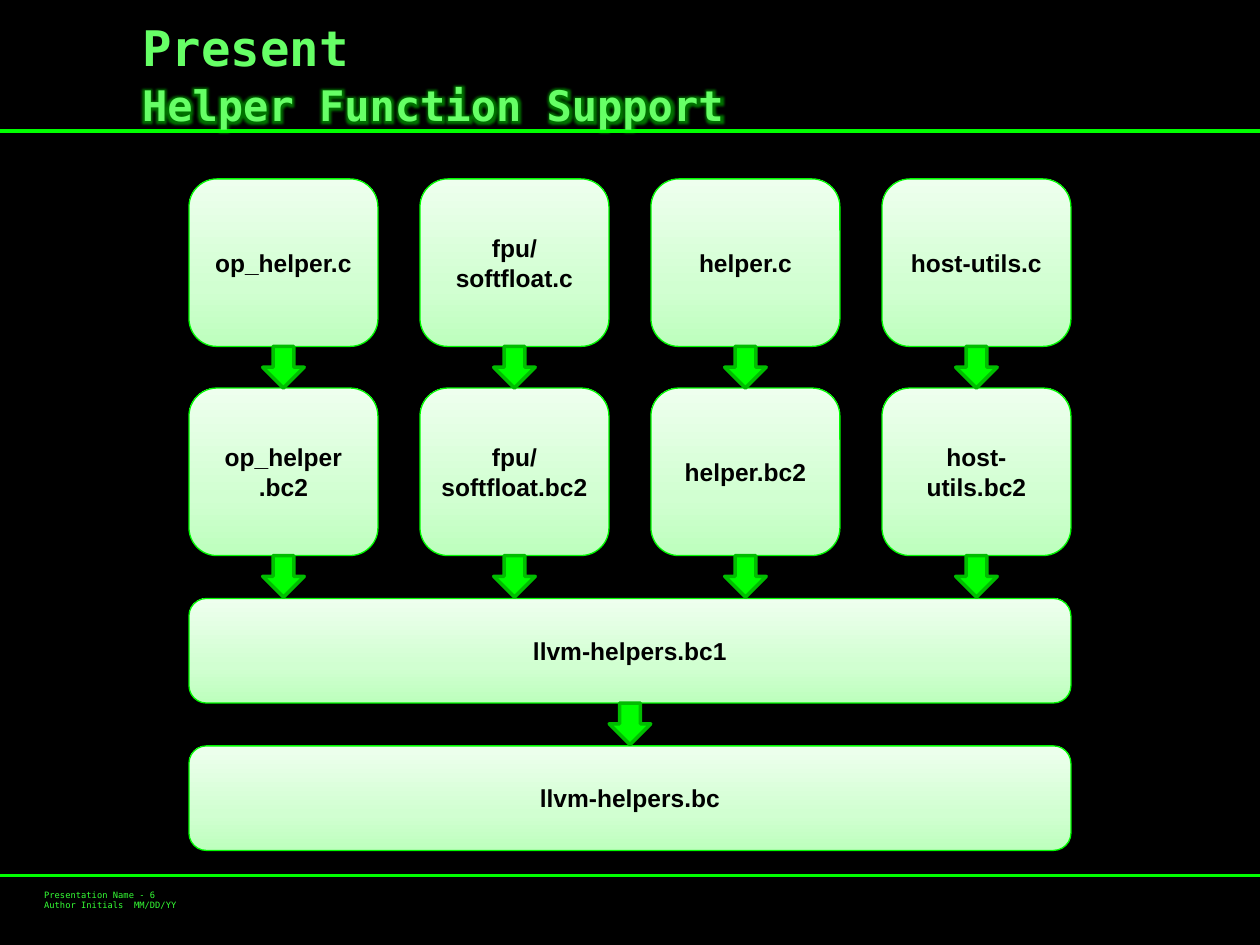
from copy import deepcopy
from dataclasses import dataclass

from lxml import etree
from pptx import Presentation
from pptx.dml.color import RGBColor
from pptx.enum.shapes import MSO_CONNECTOR, MSO_SHAPE
from pptx.enum.text import MSO_ANCHOR, MSO_AUTO_SIZE, PP_ALIGN
from pptx.oxml.ns import qn
from pptx.util import Inches, Pt

ROUNDED, DOWN_ARROW = MSO_SHAPE.ROUNDED_RECTANGLE, MSO_SHAPE.DOWN_ARROW
STRAIGHT = MSO_CONNECTOR.STRAIGHT
TOP, MIDDLE = MSO_ANCHOR.TOP, MSO_ANCHOR.MIDDLE
LEFT, CENTER = PP_ALIGN.LEFT, PP_ALIGN.CENTER
NO_AUTOFIT = MSO_AUTO_SIZE.NONE

BLACK = RGBColor(0x00, 0x00, 0x00)
GREEN = RGBColor(0x00, 0xFF, 0x00)
HEADING_GREEN = RGBColor(0x66, 0xFF, 0x66)
FOOTER_GREEN = RGBColor(0x35, 0xFF, 0x35)
BOX_LINE = RGBColor(0x00, 0xF9, 0x00)
ARROW_LINE = RGBColor(0x00, 0xBD, 0x00)
BOX_BOTTOM = RGBColor(0xBD, 0xFF, 0xBD)
BOX_MIDDLE = RGBColor(0xD1, 0xFF, 0xD1)
BOX_TOP = RGBColor(0xEE, 0xFF, 0xEE)

MONO, SANS = "DejaVu Sans Mono", "Arial"

# Flow grid, in inches
FLOW_LEFT, FLOW_WIDTH = 1.5, 7
FILE_WIDTH, FILE_HEIGHT = 1.5, 1.33
BAR_HEIGHT = 0.83
ARROW_SIZE = 0.33


@dataclass
class FileBox:
    text: str
    left: float
    top: float
    width: float
    height: float

    @property
    def center(self) -> float:
        return self.left + self.width / 2

    @property
    def bottom(self) -> float:
        return self.top + self.height


def style_text(frame, size: float, font: str, color: RGBColor, bold=False, align=LEFT) -> None:
    for paragraph in frame.paragraphs:
        paragraph.alignment = align
        paragraph.font.size = Pt(size)
        paragraph.font.name = font
        paragraph.font.bold = bold
        paragraph.font.color.rgb = color


def draw_rule(slide, y: float) -> None:
    rule = slide.shapes.add_connector(STRAIGHT, 0, Inches(y), Inches(10), Inches(y))
    rule.line.color.rgb = GREEN
    rule.line.width = Pt(1.75)
    etree.SubElement(rule._element.spPr, qn("a:effectLst"))


def fill_gradient(shape) -> None:
    shape.fill.gradient()
    shape.fill.gradient_angle = 90
    first, last = shape.fill.gradient_stops
    first.position, last.position = 0, 1
    first.color.rgb, last.color.rgb = BOX_BOTTOM, BOX_TOP
    # Third stop between the two that python-pptx provides
    stops = shape._element.spPr.find(qn("a:gradFill")).find(qn("a:gsLst"))
    middle = deepcopy(stops[0])
    middle.set("pos", "35000")
    middle[0].set("val", str(BOX_MIDDLE))
    stops.insert(1, middle)


def draw_file(slide, box: FileBox) -> None:
    shape = slide.shapes.add_shape(
        ROUNDED, Inches(box.left), Inches(box.top), Inches(box.width), Inches(box.height))
    shape.shadow.inherit = False
    fill_gradient(shape)
    shape.line.color.rgb = BOX_LINE
    shape.line.width = Pt(0.75)
    frame = shape.text_frame
    frame.text = box.text
    frame.word_wrap = True
    frame.vertical_anchor = MIDDLE
    style_text(frame, 14, SANS, BLACK, bold=True, align=CENTER)


def draw_arrow(slide, center: float, top: float) -> None:
    arrow = slide.shapes.add_shape(
        DOWN_ARROW, Inches(center - ARROW_SIZE / 2), Inches(top),
        Inches(ARROW_SIZE), Inches(ARROW_SIZE))
    arrow.shadow.inherit = False
    arrow.fill.solid()
    arrow.fill.fore_color.rgb = GREEN
    arrow.line.color.rgb = ARROW_LINE
    arrow.line.width = Pt(2)


def add_glow(run) -> None:
    properties = run._r.get_or_add_rPr()
    effects = etree.SubElement(properties, qn("a:effectLst"))
    glow = etree.SubElement(effects, qn("a:glow"), rad=str(Pt(8)))
    color = etree.SubElement(glow, qn("a:srgbClr"), val=str(GREEN))
    etree.SubElement(color, qn("a:alpha"), val="45000")


def draw_headings(slide) -> None:
    title = slide.shapes.title
    title.left, title.top = Inches(1.03), Inches(0.16)
    title.width, title.height = Inches(7.94), Inches(0.51)
    title.text_frame.text = "Present"
    title.text_frame.vertical_anchor = MIDDLE
    title.text_frame.auto_size = NO_AUTOFIT
    title.text_frame.paragraphs[0].line_spacing = Pt(28)
    style_text(title.text_frame, 28, MONO, HEADING_GREEN, bold=True)

    subtitle = slide.shapes.add_textbox(Inches(1.03), Inches(0.65), Inches(7.94), Inches(0.33))
    frame = subtitle.text_frame
    frame.text = "Helper Function Support"
    frame.word_wrap = True
    frame.vertical_anchor = TOP
    paragraph = frame.paragraphs[0]
    paragraph.line_spacing = Pt(24)
    paragraph.space_before, paragraph.space_after = Pt(3), Pt(6)
    style_text(frame, 24, MONO, HEADING_GREEN, bold=True)
    add_glow(paragraph.runs[0])


def draw_footer(slide) -> None:
    footer = slide.shapes.add_textbox(Inches(0.35), Inches(7.06), Inches(1.19), Inches(0.24))
    frame = footer.text_frame
    frame.margin_left = frame.margin_right = frame.margin_top = frame.margin_bottom = 0
    frame.text = "Presentation Name - 6\nAuthor Initials  MM/DD/YY"
    style_text(frame, 5, MONO, FOOTER_GREEN)


def main() -> None:
    presentation = Presentation()
    presentation.slide_width, presentation.slide_height = Inches(10), Inches(7.5)
    slide = presentation.slides.add_slide(presentation.slide_layouts[5])
    slide.background.fill.solid()
    slide.background.fill.fore_color.rgb = BLACK

    # Frame of the page
    for y in (1.04, 6.95):
        draw_rule(slide, y)
    draw_headings(slide)
    draw_footer(slide)

    # Sources and the bitcode compiled from each
    file_rows = {
        1.42: ("op_helper.c", "fpu/softfloat.c", "helper.c", "host-utils.c"),
        3.08: ("op_helper\n.bc2", "fpu/softfloat.bc2", "helper.bc2", "host-utils.bc2"),
    }
    column_step = (FLOW_WIDTH - FILE_WIDTH) / 3
    files = [
        FileBox(text, FLOW_LEFT + column * column_step, top, FILE_WIDTH, FILE_HEIGHT)
        for top, names in file_rows.items()
        for column, text in enumerate(names)
    ]

    # Linked and final helper modules
    linked = FileBox("llvm-helpers.bc1", FLOW_LEFT, 4.75, FLOW_WIDTH, BAR_HEIGHT)
    final = FileBox("llvm-helpers.bc", FLOW_LEFT, 5.92, FLOW_WIDTH, BAR_HEIGHT)

    for box in (*files, linked, final):
        draw_file(slide, box)
    for box in (*files, linked):
        draw_arrow(slide, box.center, box.bottom)

    presentation.save("out.pptx")


if __name__ == "__main__":
    main()
